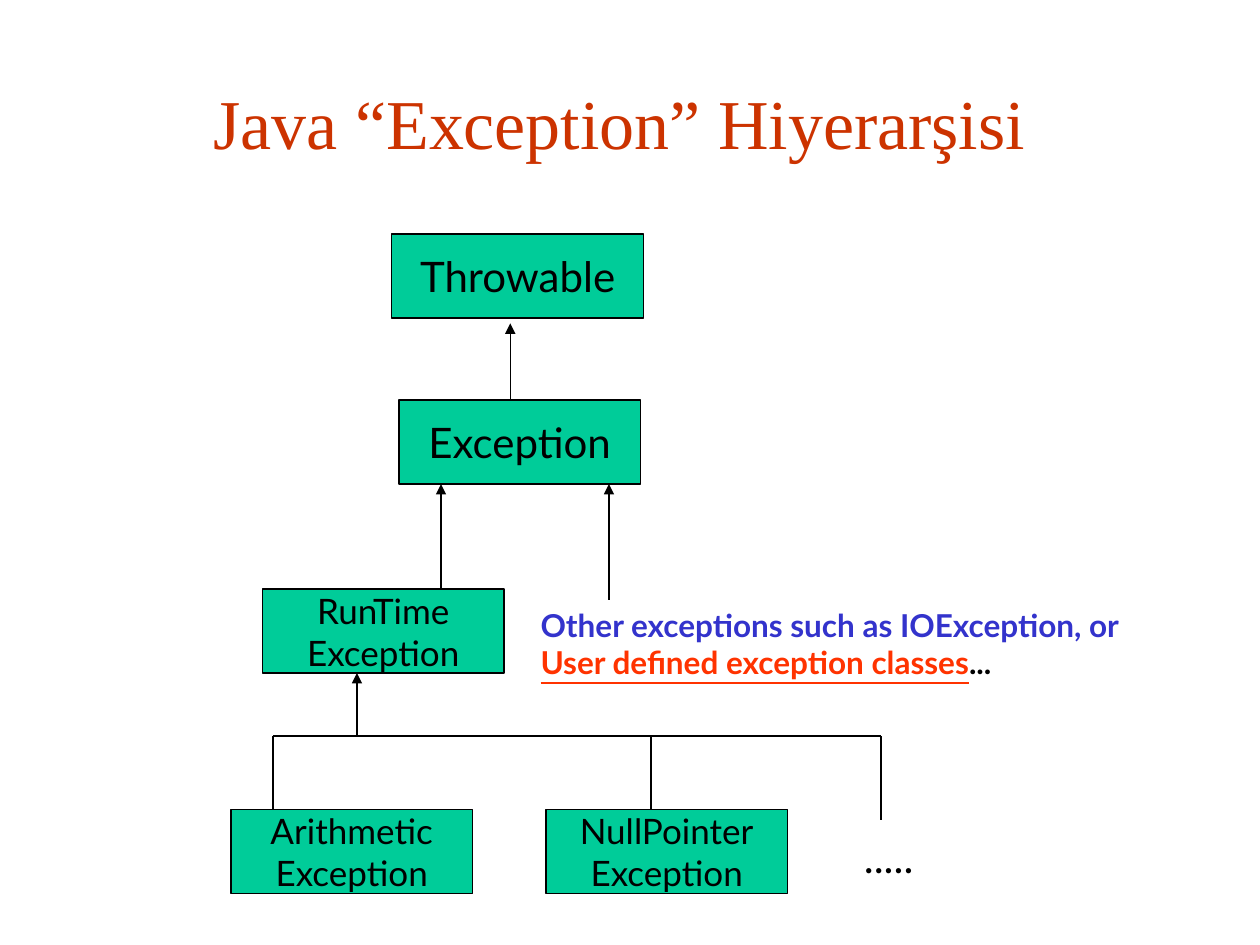
from dataclasses import dataclass

from lxml import etree
from pptx import Presentation
from pptx.dml.color import RGBColor
from pptx.enum.shapes import MSO_CONNECTOR, MSO_SHAPE
from pptx.enum.text import MSO_ANCHOR, MSO_AUTO_SIZE, PP_ALIGN
from pptx.oxml.ns import qn
from pptx.util import Inches, Pt

RECT = MSO_SHAPE.RECTANGLE
LINE = MSO_CONNECTOR.STRAIGHT
MIDDLE, TOP = MSO_ANCHOR.MIDDLE, MSO_ANCHOR.TOP
CENTER, LEFT = PP_ALIGN.CENTER, PP_ALIGN.LEFT
FIXED, GROW = MSO_AUTO_SIZE.NONE, MSO_AUTO_SIZE.SHAPE_TO_FIT_TEXT
COLS, ROWS = 120, 90
BLACK, GREEN, BLUE = "000000", "00CC99", "3333CC"
RUST, RED = "CC3300", "FF3300"
SANS, SERIF = "Lato", "Times New Roman"


@dataclass
class Run:
    text: str
    size: int
    color: str = BLACK
    font: str = SANS
    bold: bool = False
    under: bool = False


@dataclass
class Node:
    lines: list[str]
    col: float
    row: float
    size: int = 20
    wide: float = 23
    high: float = 8


@dataclass
class Link:
    col: float
    row: float
    to_col: float
    to_row: float
    arrow: bool = False


@dataclass
class Note:
    lines: list[list[Run]]
    col: float
    row: float
    wide: float
    high: float


deck = Presentation()
deck.slide_width, deck.slide_height = Inches(10), Inches(7.5)
slide = deck.slides.add_slide(deck.slide_layouts[5])


def x(col: float) -> int:
    return round(deck.slide_width * col / COLS)


def y(row: float) -> int:
    return round(deck.slide_height * row / ROWS)


def rgb(code: str) -> RGBColor:
    return RGBColor.from_string(code)


def write(frame, lines: list[list[Run]], align, anchor, fit, wrap: bool) -> None:
    frame.auto_size = fit
    frame.word_wrap = wrap
    frame.vertical_anchor = anchor
    for i, runs in enumerate(lines):
        para = frame.paragraphs[0] if i == 0 else frame.add_paragraph()
        para.alignment = align
        for item in runs:
            run = para.add_run()
            run.text = item.text
            font = run.font
            font.name, font.size = item.font, Pt(item.size)
            font.bold, font.underline = item.bold, item.under
            font.color.rgb = rgb(item.color)


def draw_title(text: str) -> None:
    title = slide.shapes.title
    title.left, title.top = x(8), y(5.3)
    title.width, title.height = x(102), y(12.5)
    runs = [Run(text, 40, RUST, SERIF)]
    write(title.text_frame, [runs], CENTER, MIDDLE, FIXED, True)


def draw_node(node: Node) -> None:
    box = slide.shapes.add_shape(
        RECT, x(node.col), y(node.row), x(node.wide), y(node.high))
    box.shadow.inherit = False
    box.fill.solid()
    box.fill.fore_color.rgb = rgb(GREEN)
    box.line.color.rgb = rgb(BLACK)
    box.line.width = Pt(0.75)
    lines = [[Run(text, node.size)] for text in node.lines]
    write(box.text_frame, lines, CENTER, MIDDLE, FIXED, False)


def draw_link(link: Link) -> None:
    wire = slide.shapes.add_connector(
        LINE, x(link.col), y(link.row), x(link.to_col), y(link.to_row))
    wire.line.color.rgb = rgb(BLACK)
    wire.line.width = Pt(0.75)
    if link.arrow:
        etree.SubElement(wire.line._get_or_add_ln(), qn("a:tailEnd"), type="triangle")
    etree.SubElement(wire._element.spPr, qn("a:effectLst"))


def draw_note(note: Note) -> None:
    box = slide.shapes.add_textbox(
        x(note.col), y(note.row), x(note.wide), y(note.high))
    write(box.text_frame, note.lines, LEFT, TOP, GROW, False)


BUS, LEAF = 70.1, 77.1
nodes = [
    Node(["Throwable"], 37.3, 22.3, 24, 24),
    Node(["Exception"], 38, 38.1, 24),
    Node(["RunTime", "Exception"], 25, 56.1),
    Node(["Arithmetic", "Exception"], 22, LEAF),
    Node(["NullPointer", "Exception"], 52, LEAF),
]
links = [
    Link(48.6, 38.1, 48.6, 30.8, True),
    Link(42, 56.1, 42, 46.1, True),
    Link(58, 57.1, 58, 46.1, True),
    Link(34, BUS, 34, 64.1, True),
    Link(26, BUS, 83.9, BUS),
    Link(26, BUS, 26, LEAF),
    Link(62, BUS, 62, LEAF),
    Link(83.9, BUS, 83.9, 78.1),
]
notes = [
    Note([[Run(".....", 24)]], 81.1, 78.6, 7.7, 6),
    Note([
        [Run("Other exceptions such as IOException, or", 18, BLUE, bold=True)],
        [Run("User defined exception classes", 18, RED, bold=True, under=True),
         Run("...", 18, bold=True)],
    ], 50.3, 57.1, 64, 8.4),
]

draw_title("Java “Exception” Hiyerarşisi")
for node in nodes:
    draw_node(node)
for link in links:
    draw_link(link)
for note in notes:
    draw_note(note)
deck.save("out.pptx")
